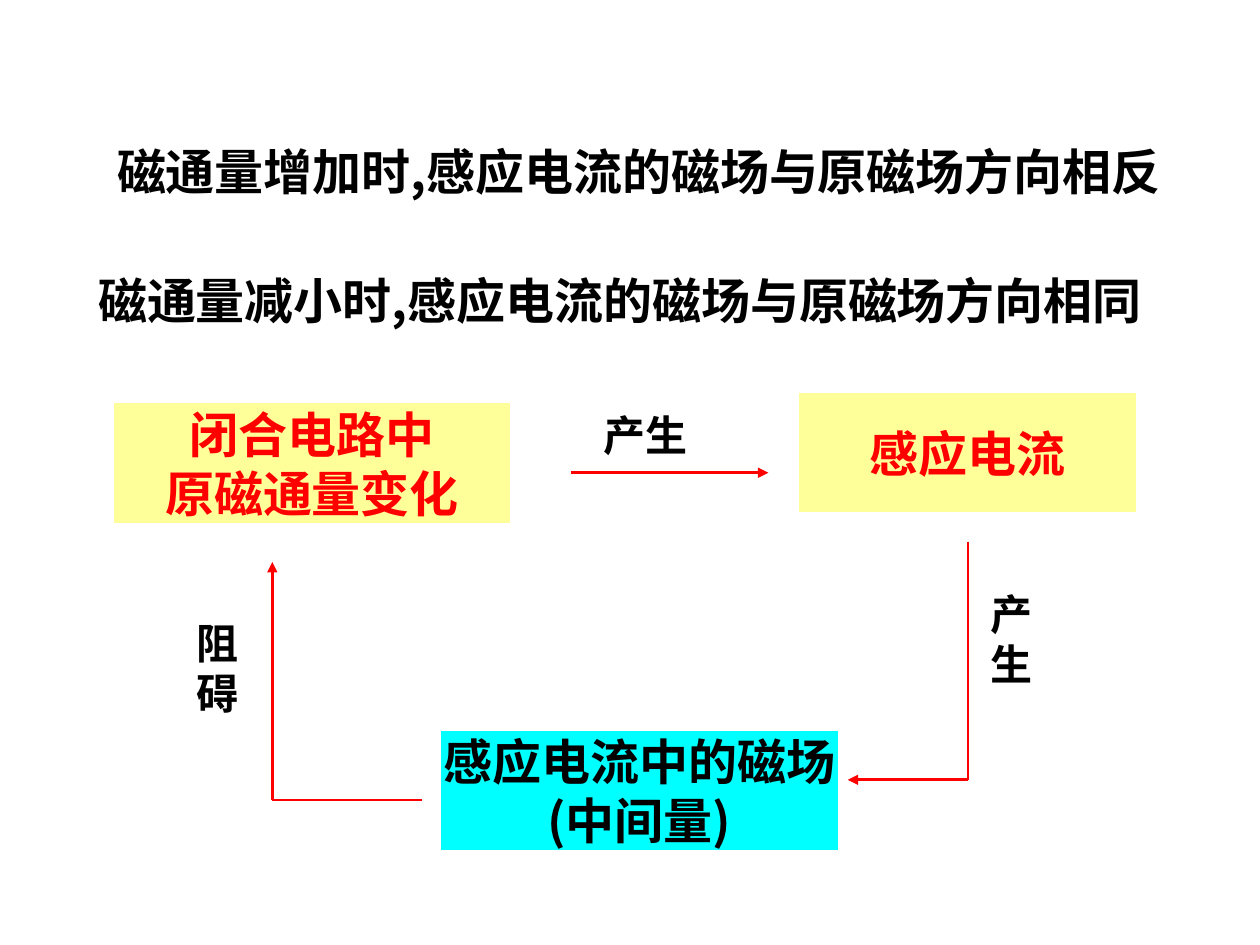
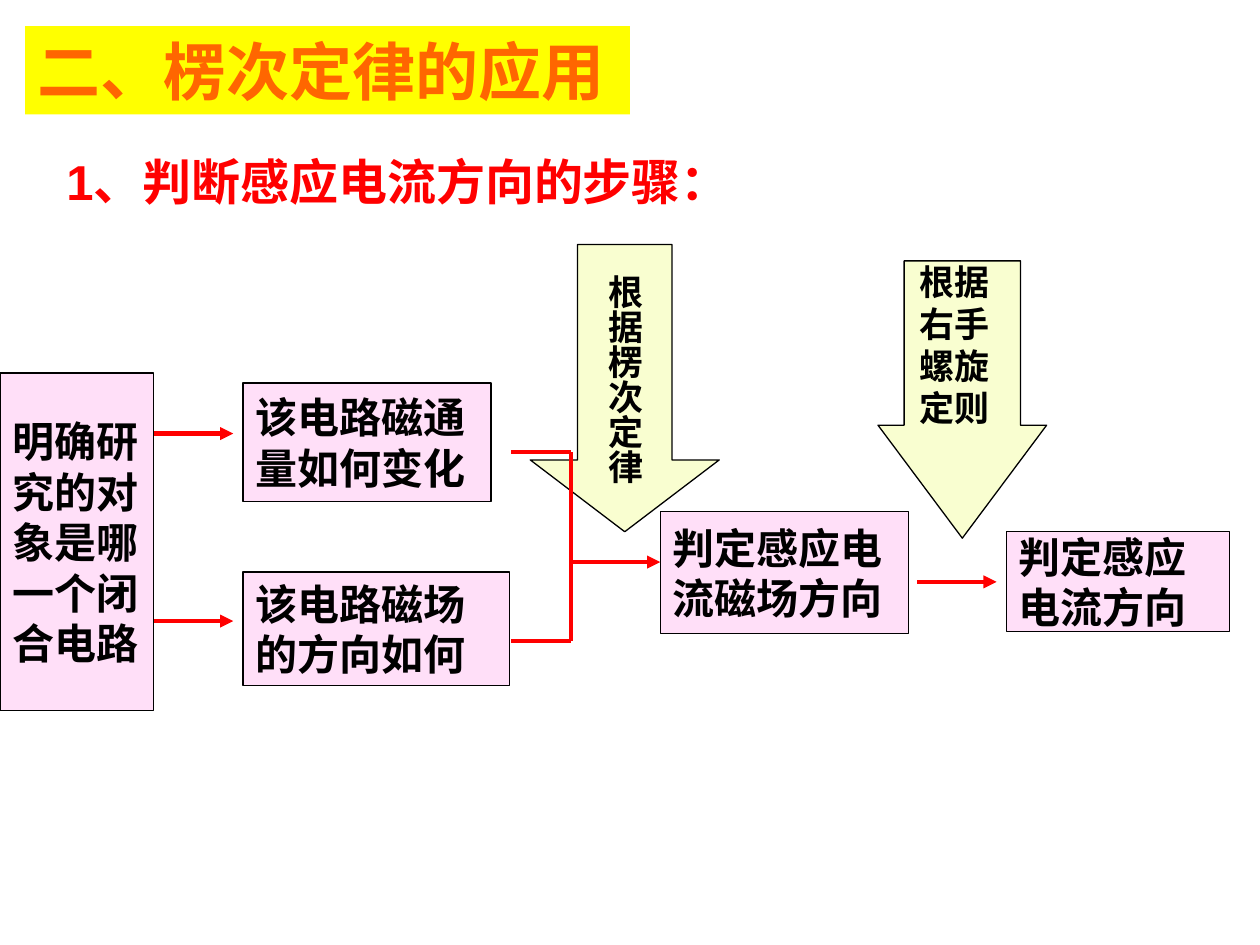
from lxml import etree
from pptx import Presentation
from pptx.dml.color import RGBColor
from pptx.enum.shapes import MSO_CONNECTOR, MSO_SHAPE
from pptx.enum.text import MSO_ANCHOR, MSO_AUTO_SIZE, PP_ALIGN
from pptx.oxml.ns import qn
from pptx.util import Cm, Pt

PROCESS = MSO_SHAPE.FLOWCHART_PROCESS
RECTANGLE = MSO_SHAPE.RECTANGLE
DOWN_ARROW = MSO_SHAPE.DOWN_ARROW
STRAIGHT = MSO_CONNECTOR.STRAIGHT
MIDDLE, TOP = MSO_ANCHOR.MIDDLE, MSO_ANCHOR.TOP
GROW = MSO_AUTO_SIZE.SHAPE_TO_FIT_TEXT
LEFT, CENTER = PP_ALIGN.LEFT, PP_ALIGN.CENTER

BLACK = RGBColor(0x00, 0x00, 0x00)
RED = RGBColor(0xFF, 0x00, 0x00)
ORANGE = RGBColor(0xFF, 0x66, 0x00)
YELLOW = RGBColor(0xFF, 0xFF, 0x00)
PALE_YELLOW = RGBColor(0xFF, 0xFF, 0x99)
CYAN = RGBColor(0x00, 0xFF, 0xFF)
PINK = RGBColor(0xFF, 0x69, 0xE2)
LIME = RGBColor(0xED, 0xFD, 0x59)

LATIN_FONT = "Arial"
CHINESE_FONT = "Noto Sans CJK SC"
PINK_OPACITY = 21
LIME_OPACITY = 28


class Deck:
    def __init__(self):
        self.presentation = Presentation()
        self.presentation.slide_width = Cm(25.4)
        self.presentation.slide_height = Cm(19.05)
        self.slide = None

    def new_slide(self):
        self.slide = self.presentation.slides.add_slide(self.presentation.slide_layouts[6])

    def fill_text(self, shape, text, size, color=BLACK, font=LATIN_FONT,
                  align=LEFT, anchor=TOP, wrap=True):
        text_frame = shape.text_frame
        text_frame.text = text
        text_frame.word_wrap = wrap
        text_frame.vertical_anchor = anchor
        for paragraph in text_frame.paragraphs:
            paragraph.alignment = align
            for run in paragraph.runs:
                run.font.size = Pt(size)
                run.font.bold = True
                run.font.color.rgb = color
                run.font.name = font
                east_asian = etree.SubElement(run.font._element, qn("a:ea"))
                east_asian.set("typeface", CHINESE_FONT)

    def text(self, box, text, size, wrap=True, **style):
        shape = self.slide.shapes.add_textbox(*map(Cm, box))
        self.fill_text(shape, text, size, wrap=wrap, **style)
        shape.text_frame.auto_size = GROW

    def shape(self, kind, box, fill, line=None, opacity=None):
        shape = self.slide.shapes.add_shape(kind, *map(Cm, box))
        shape.shadow.inherit = False
        shape.fill.solid()
        shape.fill.fore_color.rgb = fill
        if opacity is not None:
            color = shape._element.spPr.find(qn("a:solidFill"))[0]
            etree.SubElement(color, qn("a:alpha")).set("val", str(opacity * 1000))
        if line is None:
            shape.line.fill.background()
        else:
            shape.line.color.rgb = line
            shape.line.width = Pt(0.75)
        return shape

    def stage(self, box, text, fill, color, font=LATIN_FONT):
        shape = self.shape(PROCESS, box, fill)
        self.fill_text(shape, text, 28, color, font, CENTER, MIDDLE, wrap=False)

    def step(self, box, text):
        shape = self.shape(RECTANGLE, box, PINK, BLACK, PINK_OPACITY)
        self.fill_text(shape, text, 24, anchor=MIDDLE, wrap=False)

    def rule_arrow(self, box, shaft, head):
        shape = self.shape(DOWN_ARROW, box, LIME, BLACK, LIME_OPACITY)
        shape.adjustments[0] = shaft
        shape.adjustments[1] = head
        return shape

    def vertical_text(self, shape, text, size):
        self.fill_text(shape, text, size, anchor=MIDDLE, wrap=False)
        text_frame = shape.text_frame
        text_frame._txBody.bodyPr.set("vert", "eaVert")
        text_frame.margin_left = text_frame.margin_right = Cm(0.13)
        text_frame.margin_top = Cm(0.61)
        text_frame.margin_bottom = Cm(0.2)

    def route(self, points, width, arrow=True):
        for start, end in zip(points, points[1:]):
            connector = self.slide.shapes.add_connector(STRAIGHT, *map(Cm, start + end))
            connector.line.color.rgb = RED
            connector.line.width = Pt(width)
            etree.SubElement(connector._element.spPr, qn("a:effectLst"))
        if arrow:
            line = connector.line._get_or_add_ln()
            etree.SubElement(line, qn("a:tailEnd")).set("type", "triangle")

    def induction_cycle(self):
        self.new_slide()
        self.stage((2.29, 8.13, 8, 2.41), "闭合电路中\n原磁通量变化", PALE_YELLOW, RED)
        self.stage((8.89, 14.73, 8, 2.41), "感应电流中的磁场\n(中间量)", CYAN, BLACK, CHINESE_FONT)
        self.stage((16.1, 7.92, 6.81, 2.41), "感应电流", PALE_YELLOW, RED)

        self.route([(11.51, 9.53), (15.49, 9.53)], 1.75)
        self.route([(19.51, 10.92), (19.51, 15.72), (17.09, 15.72)], 1.5)
        self.route([(8.51, 16.13), (5.49, 16.13), (5.49, 11.33)], 1.5)

        self.text((2.11, 2.72, 22.2, 1.45), "磁通量增加时,感应电流的磁场与原磁场方向相反",
                  28, font=CHINESE_FONT)
        self.text((1.73, 5.33, 22.17, 1.45), "磁通量减小时,感应电流的磁场与原磁场方向相同",
                  28, wrap=False, font=CHINESE_FONT)
        self.text((11.91, 8.13, 2.39, 1.27), "产生", 24)
        self.text((19.71, 11.73, 1.4, 2.29), "产生", 24)
        self.text((3.71, 12.32, 1.19, 2.29), "阻碍", 24)

    def direction_steps(self):
        self.new_slide()
        self.text((1.09, 2.92, 15.01, 1.45), "1、判断感应电流方向的步骤：", 28, color=RED)

        self.step((0, 7.52, 3.1, 6.81), "明确研\n究的对\n象是哪\n一个闭\n合电路")
        self.step((4.9, 7.72, 5, 2.39), "该电路磁通\n量如何变化")
        self.step((4.9, 11.53, 5.38, 2.29), "该电路磁场\n的方向如何")
        lenz_arrow = self.rule_arrow((10.69, 4.93, 3.81, 5.79), 0.5, 0.38)
        self.vertical_text(lenz_arrow, "根据楞次定律", 20)
        self.step((13.31, 10.31, 5, 2.46), "判定感应电\n流磁场方向")
        self.step((20.29, 10.72, 4.5, 2.01), "判定感应\n电流方向")
        self.rule_arrow((17.7, 5.26, 3.4, 5.59), 0.69, 0.67)
        self.text((18.29, 5.13, 2.21, 3.66), "根据\n右手\n螺旋\n定则", 20)

        for y in (8.74, 12.52):
            self.route([(3.1, y), (4.7, y)], 2.5)
        self.route([(10.31, 9.12), (11.51, 9.12), (11.51, 12.93), (10.31, 12.93)],
                   2.25, arrow=False)
        self.route([(11.51, 11.33), (13.31, 11.33)], 2.5)
        self.route([(18.49, 11.73), (20.09, 11.73)], 2.5)

        title = self.shape(RECTANGLE, (0.51, 0.53, 12.19, 1.78), YELLOW)
        self.fill_text(title, "二、楞次定律的应用", 36, ORANGE, CHINESE_FONT)
        title.text_frame.auto_size = GROW


def main():
    deck = Deck()
    deck.induction_cycle()
    deck.direction_steps()
    deck.presentation.save("out.pptx")


if __name__ == "__main__":
    main()
